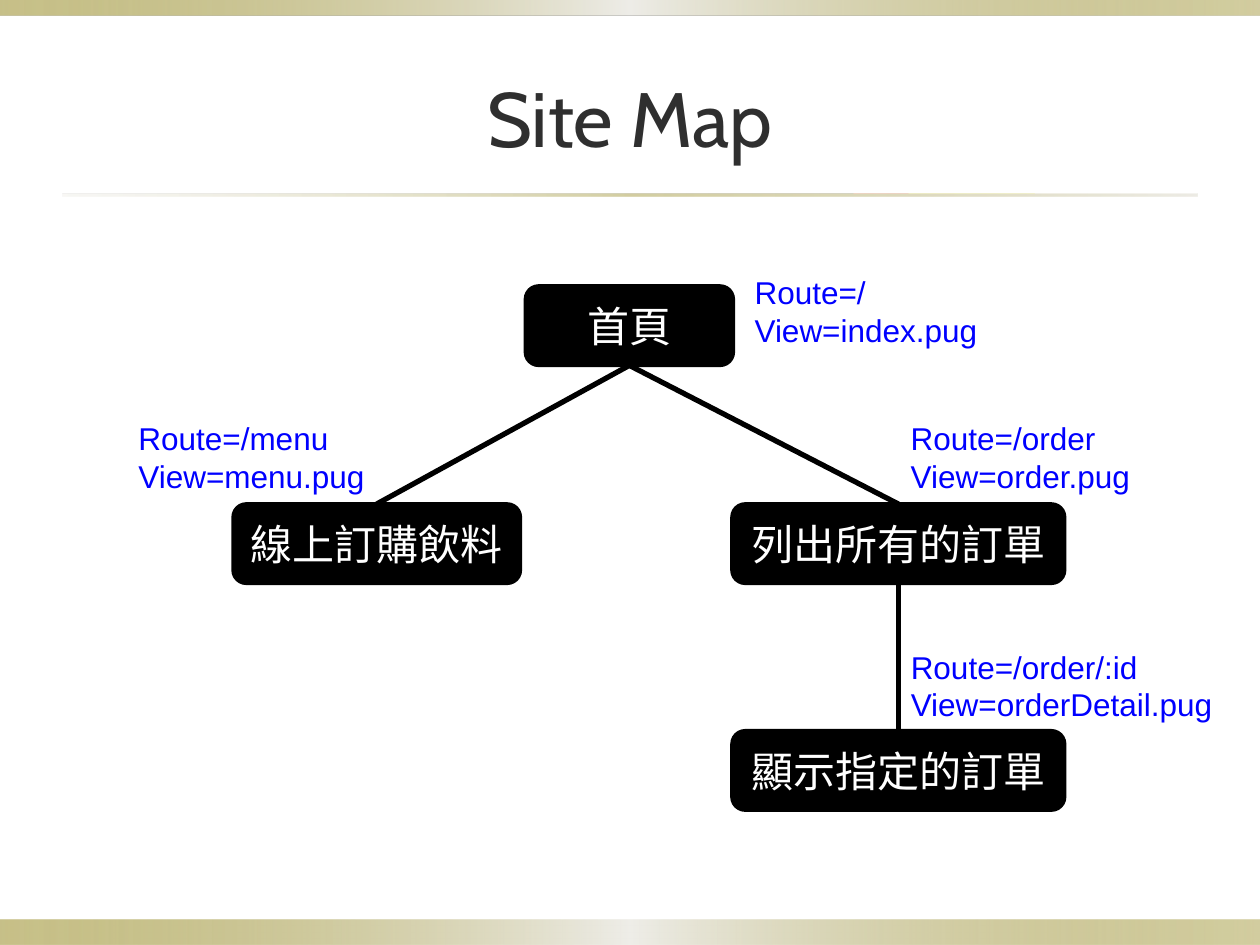
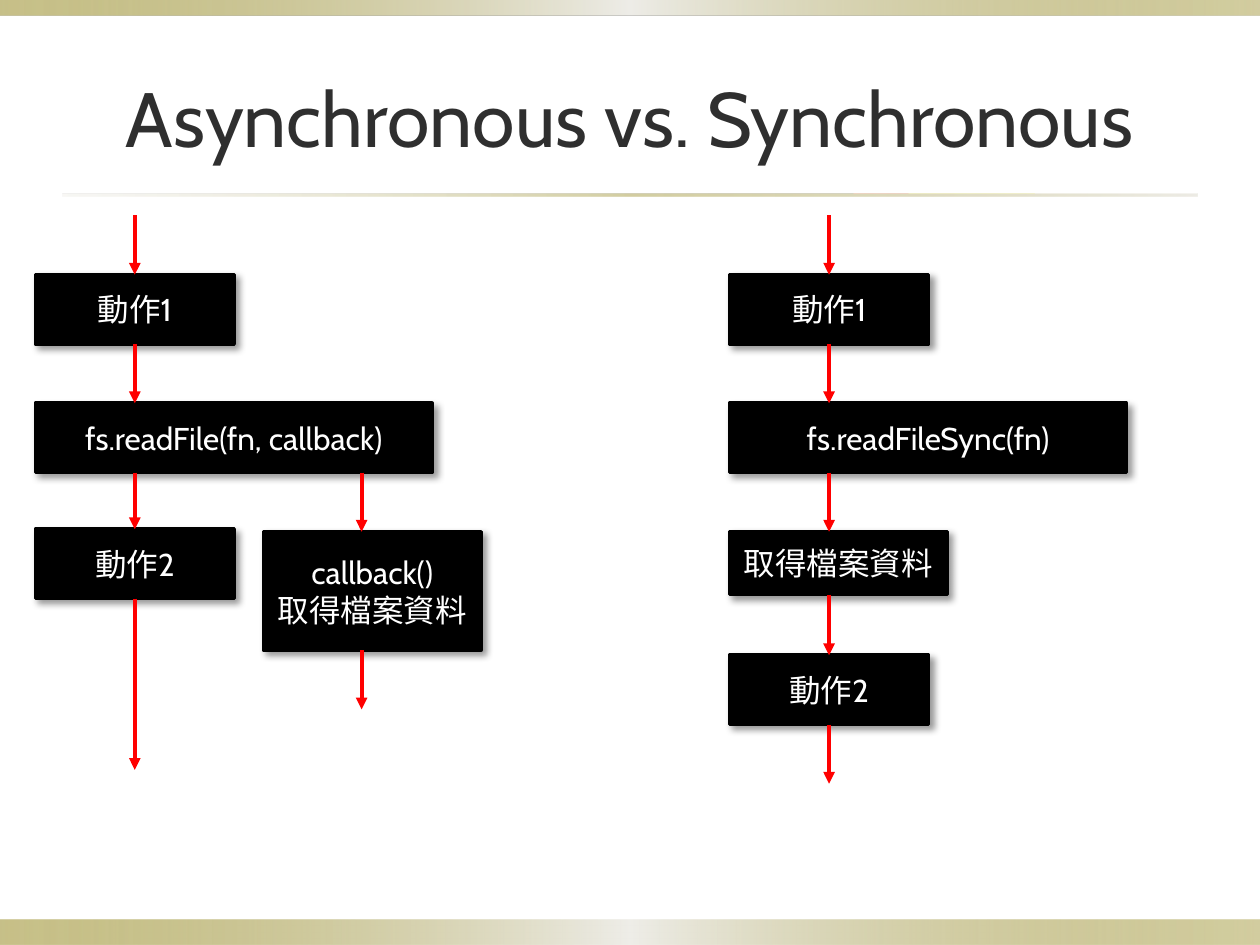
from lxml import etree
from pptx import Presentation
from pptx.dml.color import RGBColor
from pptx.enum.shapes import MSO_CONNECTOR, MSO_SHAPE
from pptx.enum.text import MSO_ANCHOR, MSO_AUTO_SIZE, PP_ALIGN
from pptx.oxml import parse_xml
from pptx.oxml.ns import nsdecls, qn
from pptx.util import Inches, Pt

RECTANGLE, ROUNDED = MSO_SHAPE.RECTANGLE, MSO_SHAPE.ROUNDED_RECTANGLE
STRAIGHT = MSO_CONNECTOR.STRAIGHT
LEFT, CENTER = PP_ALIGN.LEFT, PP_ALIGN.CENTER
TOP, MIDDLE = MSO_ANCHOR.TOP, MSO_ANCHOR.MIDDLE
GROW = MSO_AUTO_SIZE.SHAPE_TO_FIT_TEXT
BOTTOM_SITE, TOP_SITE = 2, 0

BLACK, WHITE, RED, BLUE, TITLE_GREY = "000000", "FFFFFF", "FF0000", "0000FF", "2F2F2F"
OLIVE, SAND, SILVER = "918415", "DCD9CC", "EEEDE8"
BODY_FONT, TITLE_FONT = "Arial", "Cabin"

presentation = Presentation()
presentation.slide_width, presentation.slide_height = Inches(10), Inches(7.5)
CELL = presentation.slide_width / 10  # the slide is a grid of 10 columns by 7.5 rows


def colour(hex_string):
    return RGBColor.from_string(hex_string)


def write_text(shape, text, font=BODY_FONT, size=18, color=BLACK,
               align=LEFT, anchor=TOP, wrap=True):
    frame = shape.text_frame
    frame.word_wrap, frame.vertical_anchor = wrap, anchor
    frame.text = text
    for paragraph in frame.paragraphs:
        paragraph.alignment = align
        paragraph.font.name, paragraph.font.size = font, Pt(size)
        paragraph.font.color.rgb = colour(color)


# Shared decoration: place, then gradient stops as (position, colour, opacity)
band_stops = [(0, OLIVE, 50), (50, SILVER, 100), (100, OLIVE, 40)]
rule_stops = [(0, SAND, 20), (50, OLIVE, 40), (100, SAND, 50)]
decoration = [((0, 7.3, 10, 0.2), band_stops),
              ((0, 0, 10, 0.12), band_stops),
              ((0.5, 1.54, 9, 0.02), rule_stops)]

# Site map: pages as key -> (text, left, top, width, height)
PAGE_HEIGHT = 0.63
pages = {
    "home": ("首頁", 4.17, 2.27, 1.65, PAGE_HEIGHT),
    "menu": ("線上訂購飲料", 1.85, 4, 2.28, PAGE_HEIGHT),
    "orders": ("列出所有的訂單", 5.81, 4, 2.64, PAGE_HEIGHT),
    "detail": ("顯示指定的訂單", 5.81, 5.8, 2.64, PAGE_HEIGHT),
}
page_links = [("home", "menu"), ("home", "orders"), ("orders", "detail")]
routes = [("Route=/\nView=index.pug", 5.89, 2.12, 1.99),
          ("Route=/menu\nView=menu.pug", 1, 3.28, 2.01),
          ("Route=/order\nView=order.pug", 7.13, 3.28, 1.96),
          ("Route=/order/:id\nView=orderDetail.pug", 7.13, 5.09, 2.62)]

# Flow charts: two lanes of steps, links join steps by key or grid points
STEP_WIDTH, STEP_HEIGHT, CALL_WIDTH, DATA_WIDTH = 1.58, 0.55, 3.15, 1.73
ARROW = 0.47
FIRST, SECOND, THIRD, FOURTH = 2.18, 3.2, 4.22, 5.2
CALL_END = SECOND + STEP_HEIGHT
CALLBACK_X, CALLBACK_HEIGHT, DATA_HEIGHT = 2.87, 0.94, 0.5
async_left, sync_left = 0.28, 5.79
async_x, sync_x = async_left + STEP_WIDTH / 2, sync_left + STEP_WIDTH / 2

steps = {}
step_links = []
for lane, left, x, call in [("async", async_left, async_x, "fs.readFile(fn, callback)"),
                            ("sync", sync_left, sync_x, "fs.readFileSync(fn)")]:
    steps[lane + " 1"] = ("動作1", left, FIRST, STEP_WIDTH, STEP_HEIGHT)
    steps[lane + " call"] = (call, left, SECOND, CALL_WIDTH, STEP_HEIGHT)
    step_links += [((x, FIRST - ARROW), lane + " 1"), (lane + " 1", (x, SECOND))]
steps["async 2"] = ("動作2", async_left, 4.2, STEP_WIDTH, STEP_HEIGHT)
steps["callback"] = ("callback()\n取得檔案資料", 2.09, THIRD, DATA_WIDTH, CALLBACK_HEIGHT)
steps["data"] = ("取得檔案資料", sync_left, THIRD, DATA_WIDTH, DATA_HEIGHT)
steps["sync 2"] = ("動作2", sync_left, FOURTH, STEP_WIDTH, STEP_HEIGHT)
callback_end = THIRD + CALLBACK_HEIGHT
step_links += [
    ((async_x, CALL_END), "async 2"),
    ((CALLBACK_X, CALL_END), (CALLBACK_X, THIRD)),
    ("async 2", (async_x, 6.11)),
    ((CALLBACK_X, callback_end), (CALLBACK_X, callback_end + ARROW)),
    ((sync_x, CALL_END), (sync_x, THIRD)),
    ((sync_x, THIRD + DATA_HEIGHT), "sync 2"),
    ("sync 2", (sync_x, FOURTH + STEP_HEIGHT + ARROW)),
]

diagrams = [
    dict(title="Site Map", boxes=pages, links=page_links, labels=routes,
         outline=ROUNDED, font=BODY_FONT, size=24, link_color=BLACK,
         link_width=3, arrows=False, shadow=False),
    dict(title="Asynchronous vs. Synchronous", boxes=steps, links=step_links, labels=[],
         outline=RECTANGLE, font=TITLE_FONT, size=18, link_color=RED,
         link_width=2.25, arrows=True, shadow=True),
]

for diagram in diagrams:
    slide = presentation.slides.add_slide(presentation.slide_layouts[6])

    # Bands and title rule
    for place, stops in decoration:
        band = slide.shapes.add_shape(RECTANGLE, *[int(value * CELL) for value in place])
        band.shadow.inherit = False
        band.line.fill.background()
        stop_xml = "".join(
            f'<a:gs pos="{position * 1000}"><a:srgbClr val="{stop_color}">'
            f'<a:alpha val="{opacity * 1000}"/></a:srgbClr></a:gs>'
            for position, stop_color, opacity in stops)
        band._element.spPr.insert(2, parse_xml(
            f'<a:gradFill {nsdecls("a")} rotWithShape="1"><a:gsLst>{stop_xml}</a:gsLst>'
            '<a:lin ang="0" scaled="0"/></a:gradFill>'))

    # Title
    title = slide.shapes.add_textbox(*[int(value * CELL) for value in (0.5, 0.3, 9, 1.25)])
    write_text(title, diagram["title"], font=TITLE_FONT, size=44, color=TITLE_GREY,
               align=CENTER, anchor=MIDDLE)

    # Boxes
    boxes = {}
    for key, (text, *place) in diagram["boxes"].items():
        box = slide.shapes.add_shape(diagram["outline"], *[int(value * CELL) for value in place])
        box.fill.solid()
        box.fill.fore_color.rgb = box.line.color.rgb = colour(BLACK)
        box.line.width = Pt(2)
        box.shadow.inherit = False
        if diagram["shadow"]:
            effects = box._element.spPr.find(qn("a:effectLst"))
            effects.append(parse_xml(
                f'<a:outerShdw {nsdecls("a")} blurRad="{Pt(4)}" dist="{Pt(3)}" dir="2700000" '
                f'algn="tl" rotWithShape="0"><a:srgbClr val="{BLACK}">'
                '<a:alpha val="40000"/></a:srgbClr></a:outerShdw>'))
        write_text(box, text, font=diagram["font"], size=diagram["size"], color=WHITE,
                   align=CENTER, anchor=MIDDLE)
        boxes[key] = box

    # Links
    for begin, end in diagram["links"]:
        points = [(0, 0) if place in boxes else place for place in (begin, end)]
        link = slide.shapes.add_connector(
            STRAIGHT, *[int(value * CELL) for point in points for value in point])
        if begin in boxes:
            link.begin_connect(boxes[begin], BOTTOM_SITE)
        if end in boxes:
            link.end_connect(boxes[end], TOP_SITE)
        link.line.color.rgb = colour(diagram["link_color"])
        link.line.width = Pt(diagram["link_width"])
        properties = link._element.spPr
        if diagram["arrows"]:
            etree.SubElement(properties.find(qn("a:ln")), qn("a:tailEnd"), type="triangle")
        etree.SubElement(properties, qn("a:effectLst"))

    # Route labels
    for text, left, top, width in diagram["labels"]:
        label = slide.shapes.add_textbox(
            *[int(value * CELL) for value in (left, top, width, 0.71)])
        write_text(label, text, color=BLUE, wrap=False)
        label.text_frame.auto_size = GROW

presentation.save("out.pptx")
